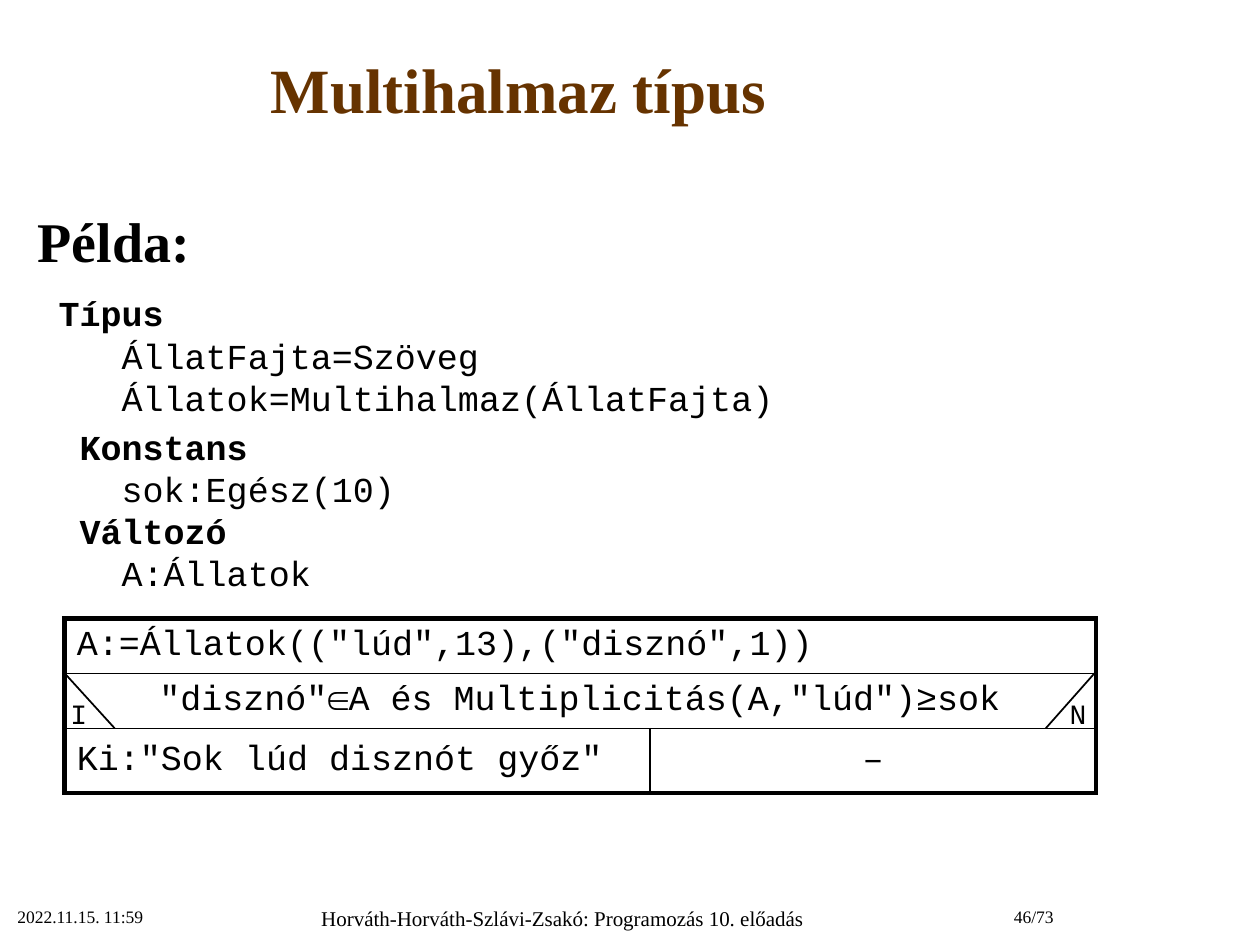
import pptx
import pptx.dml.color
import pptx.enum.shapes
import pptx.enum.text
import pptx.oxml
import pptx.oxml.ns
import pptx.util

Inches, Pt = pptx.util.Inches, pptx.util.Pt
ALIGN = pptx.enum.text.PP_ALIGN
ANCHOR = pptx.enum.text.MSO_ANCHOR
COLORS = {"title": "663300", "ink": "000000"}
SERIF, MONO = "Times New Roman", "Courier New"
THICK, THIN = 3, 1


def write(paragraph, text, size=20, font=MONO, color="ink", bold=False,
          align=ALIGN.LEFT):
    """Append text to a paragraph; a newline becomes a line break."""
    paragraph.alignment = align
    for number, line in enumerate(text.split("\n")):
        if number:
            paragraph.add_line_break()
        if line:
            run = paragraph.add_run()
            run.text = line
            run.font.size = Pt(size)
            run.font.name = font
            run.font.bold = bold
            run.font.color.rgb = pptx.dml.color.RGBColor.from_string(COLORS[color])


def add_box(slide, left, top, width, height, anchor=ANCHOR.TOP):
    frame = slide.shapes.add_textbox(
        Inches(left), Inches(top), Inches(width), Inches(height)).text_frame
    frame.word_wrap = True
    frame.vertical_anchor = anchor
    return frame


def add_label(slide, text, left, top, width, height, anchor=ANCHOR.TOP, **style):
    frame = add_box(slide, left, top, width, height, anchor)
    write(frame.paragraphs[0], text, **style)


def add_title(slide, text):
    title = slide.shapes.title
    title.left, title.top = Inches(0), Inches(0.09)
    title.width, title.height = Inches(8.23), Inches(1.22)
    title.text_frame.vertical_anchor = ANCHOR.MIDDLE
    write(title.text_frame.paragraphs[0], text, size=36, font=SERIF,
          color="title", bold=True, align=ALIGN.CENTER)


def add_declarations(slide):
    frame = add_box(slide, 0.2, 1.59, 9.8, 3.2)
    write(frame.paragraphs[0], "Példa:", size=32, font=SERIF, bold=True)

    types = frame.add_paragraph()
    types.space_before = Pt(6)
    write(types, "  ", size=24, font=SERIF, bold=True)
    write(types, "Típus\n", bold=True)
    write(types, "    ÁllatFajta=Szöveg\n    Állatok=Multihalmaz(ÁllatFajta)")

    data = frame.add_paragraph()
    data.space_before = Pt(4)
    for keyword, declaration in (("  Konstans\n", "    sok:Egész(10)\n"),
                                 ("  Változó\n", "    A:Állatok")):
        write(data, keyword, bold=True)
        write(data, declaration)


def set_borders(cell, left, top, right, bottom):
    properties = cell._tc.get_or_add_tcPr()
    widths = (("L", left), ("T", top), ("R", right), ("B", bottom))
    for position, (side, width) in enumerate(
            sorted(widths, key=lambda item: "LRTB".index(item[0]))):
        properties.insert(position, pptx.oxml.parse_xml(
            f'<a:ln{side} {pptx.oxml.ns.nsdecls("a")} w="{Pt(width)}">'
            f'<a:solidFill><a:srgbClr val="{COLORS["ink"]}"/></a:solidFill>'
            f'</a:ln{side}>'))


def add_structogram(slide):
    columns, rows = (4.65, 3.54), (0.43, 0.44, 0.51)
    table = slide.shapes.add_table(
        len(rows), len(columns), Inches(0.51), Inches(4.91),
        Inches(sum(columns)), Inches(sum(rows))).table
    table.first_row = table.horz_banding = False
    for column, width in zip(table.columns, columns):
        column.width = Inches(width)
    for row, height in zip(table.rows, rows):
        row.height = Inches(height)

    last_row, last_column = len(rows) - 1, len(columns) - 1
    for r in range(len(rows)):
        full_width = r < last_row
        if full_width:
            table.cell(r, 0).merge(table.cell(r, last_column))
        for c in range(len(columns)):
            cell = table.cell(r, c)
            cell.fill.background()
            cell.vertical_anchor = ANCHOR.MIDDLE
            set_borders(cell,
                        left=THICK if c == 0 else THIN,
                        top=THICK if r == 0 else THIN,
                        right=THICK if full_width or c == last_column else THIN,
                        bottom=THICK if r == last_row else THIN)

    for r, c, text, align in (
            (0, 0, 'A:=Állatok(("lúd",13),("disznó",1))', ALIGN.LEFT),
            (1, 0, '"disznó"∈A és Multiplicitás(A,"lúd")≥sok', ALIGN.CENTER),
            (2, 0, 'Ki:"Sok lúd disznót győz"', ALIGN.LEFT),
            (2, 1, "–", ALIGN.CENTER)):
        write(table.cell(r, c).text_frame.paragraphs[0], text, align=align)


def add_branch(slide, letter, letter_left, start_x, end_x):
    """Draw the slanted corner of the condition row with its letter."""
    slant = slide.shapes.add_connector(
        pptx.enum.shapes.MSO_CONNECTOR.STRAIGHT,
        Inches(start_x), Inches(5.34), Inches(end_x), Inches(5.78))
    slant.line.width = Pt(THIN)
    slant.line.color.rgb = pptx.dml.color.RGBColor.from_string(COLORS["ink"])
    slant._element.spPr.append(
        pptx.oxml.parse_xml(f'<a:effectLst {pptx.oxml.ns.nsdecls("a")}/>'))
    add_label(slide, letter, letter_left, 5.48, 0.33, 0.36,
              anchor=ANCHOR.MIDDLE, size=16, align=ALIGN.CENTER)


def add_footer(slide):
    for text, left, width, size, align in (
            ("2022.11.15. 11:59", 0.04, 2.08, 10, ALIGN.LEFT),
            ("Horváth-Horváth-Szlávi-Zsakó: Programozás 10. előadás",
             2.12, 4.69, 12, ALIGN.CENTER),
            ("46/73", 7.19, 1.27, 10, ALIGN.RIGHT)):
        add_label(slide, text, left, 7.14, width, 0.36,
                  size=size, font=SERIF, align=align)


def main():
    deck = pptx.Presentation()
    deck.slide_width, deck.slide_height = Inches(10), Inches(7.5)
    slide = deck.slides.add_slide(deck.slide_layouts.get_by_name("Title Only"))
    add_title(slide, "Multihalmaz típus")
    add_declarations(slide)
    add_structogram(slide)
    add_branch(slide, "I", 0.46, start_x=0.51, end_x=0.91)
    add_branch(slide, "N", 8.39, start_x=8.69, end_x=8.3)
    add_footer(slide)
    deck.save("out.pptx")


if __name__ == "__main__":
    main()
